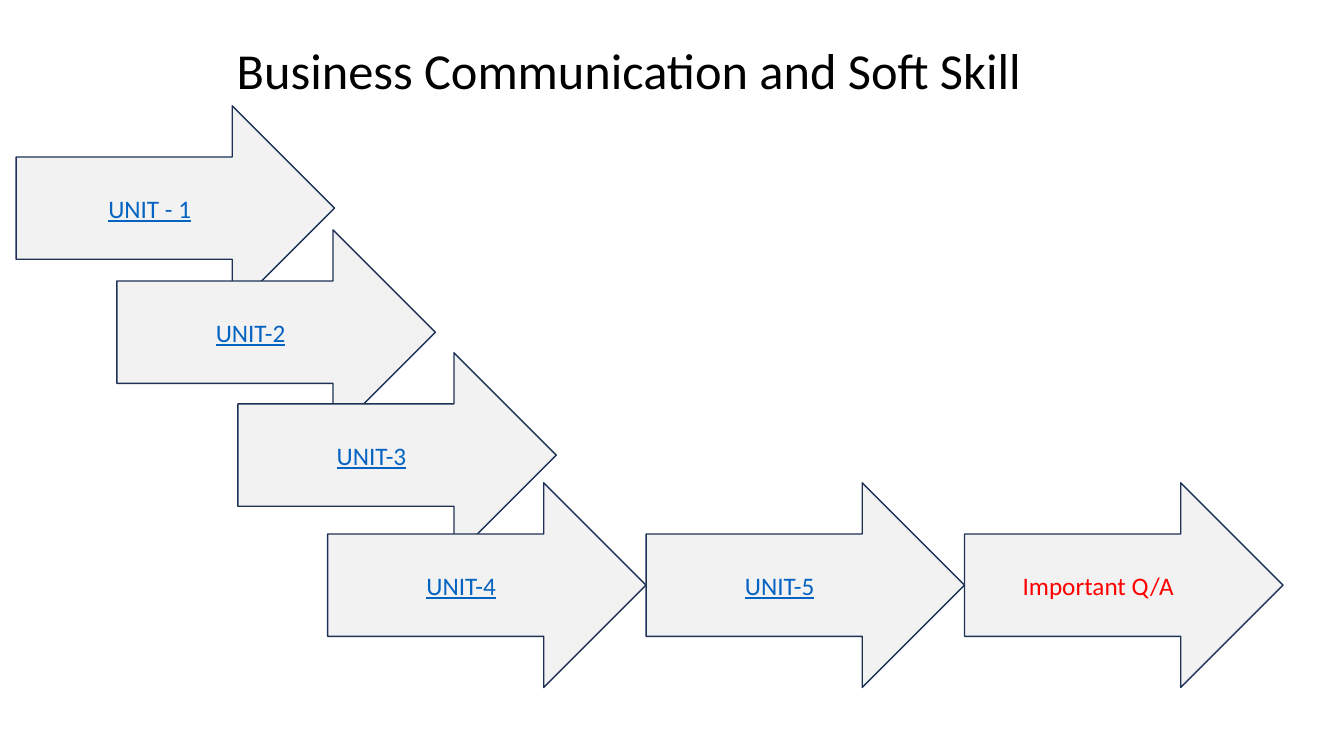
from dataclasses import dataclass

from pptx import Presentation
from pptx.dml.color import RGBColor
from pptx.enum import shapes, text
from pptx.util import Pt


@dataclass(frozen=True)
class Theme:
    """Colours and type sizes of the slide."""
    font: str = "Calibri"
    title_size: float = 36
    label_size: float = 18
    ink: str = "000000"
    link: str = "0563C1"
    accent: str = "FF0000"
    fill: str = "F2F2F2"
    line: str = "1E3256"


THEME = Theme()
ARROW_W, ARROW_H = 227.5, 146.2
STAIRS = [("UNIT - 1", 11.5, 75.6), ("UNIT-2", 83.5, 164.2), ("UNIT-3", 169.9, 252)]
ROW = ["UNIT-4", "UNIT-5", "Important Q/A"]
ROW_LEFT, ROW_TOP = 234, 344.9


def style(p, size, color, underline=None):
    """Set the font of one paragraph."""
    p.font.name = THEME.font
    p.font.size = Pt(size)
    p.font.color.rgb = RGBColor.from_string(color)
    p.font.underline = underline


def add_title(s, left, top, width, height, title):
    """Place the heading in the given box."""
    tf = s.shapes.add_textbox(Pt(left), Pt(top), Pt(width), Pt(height)).text_frame
    tf.word_wrap = True
    tf.auto_size = text.MSO_AUTO_SIZE.SHAPE_TO_FIT_TEXT
    tf.text = title
    style(tf.paragraphs[0], THEME.title_size, THEME.ink)


def add_arrow(s, left, top, label):
    """Place one labelled arrow; units read as links."""
    sp = s.shapes.add_shape(shapes.MSO_SHAPE.RIGHT_ARROW,
                            Pt(left), Pt(top), Pt(ARROW_W), Pt(ARROW_H))
    sp.shadow.inherit = False
    sp.fill.solid()
    sp.fill.fore_color.rgb = RGBColor.from_string(THEME.fill)
    sp.line.color.rgb = RGBColor.from_string(THEME.line)
    sp.line.width = Pt(1)
    tf = sp.text_frame
    tf.word_wrap = True
    tf.vertical_anchor = text.MSO_ANCHOR.MIDDLE
    tf.text = label
    p = tf.paragraphs[0]
    p.alignment = text.PP_ALIGN.CENTER
    is_unit = label.startswith("UNIT")
    style(p, THEME.label_size, THEME.link if is_unit else THEME.accent, is_unit)


def add_stairs(s, steps):
    """Place the descending arrows, each over the one before."""
    for label, left, top in steps:
        add_arrow(s, left, top, label)


def add_row(s, left, top, labels):
    """Place arrows tip to tail from the given corner."""
    for i, label in enumerate(labels):
        add_arrow(s, left + i * ARROW_W, top, label)


def main():
    """Build and save the slide."""
    prs = Presentation()
    prs.slide_width, prs.slide_height = Pt(960), Pt(540)
    s = prs.slides.add_slide(prs.slide_layouts[6])
    add_title(s, 162, 24.5, 599, 51, "Business Communication and Soft Skill")
    add_stairs(s, STAIRS)
    add_row(s, ROW_LEFT, ROW_TOP, ROW)
    prs.save("out.pptx")


if __name__ == "__main__":
    main()
